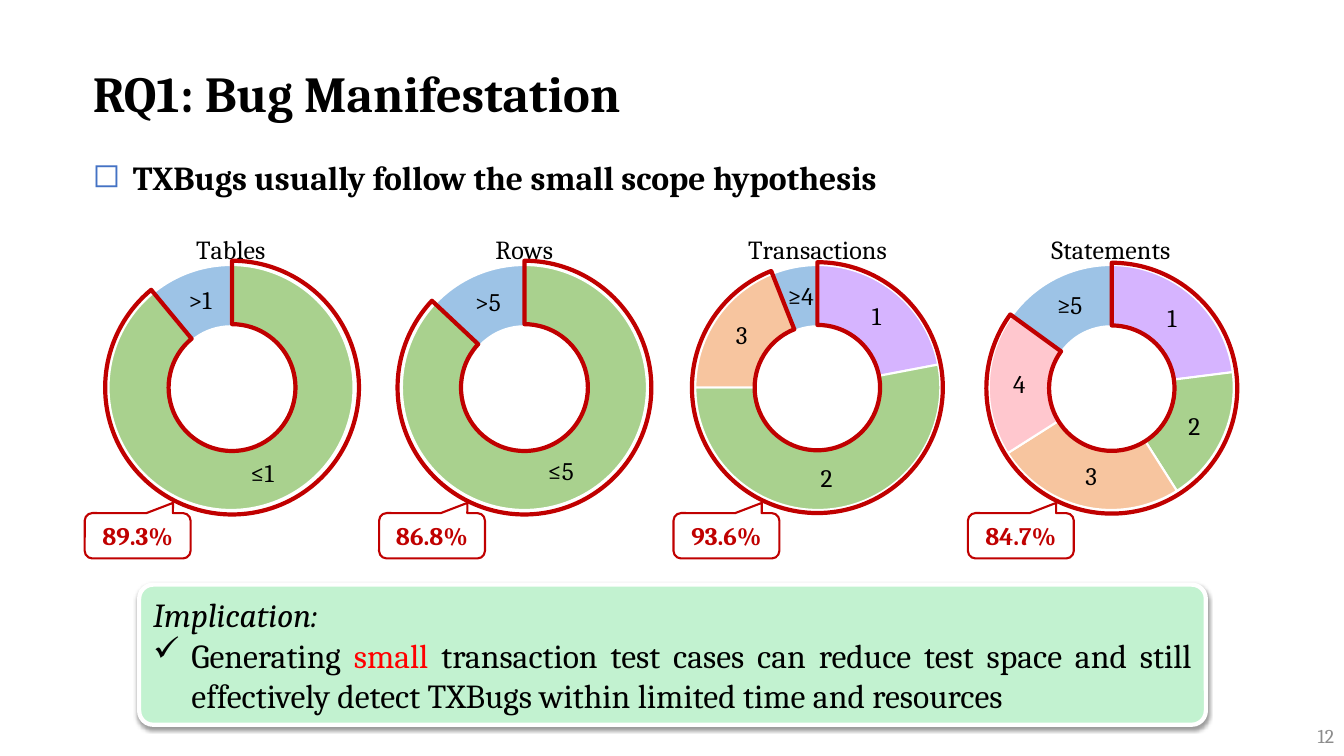
from lxml import etree
from pptx import Presentation
from pptx.chart.data import CategoryChartData
from pptx.dml.color import RGBColor
from pptx.enum.chart import XL_CHART_TYPE
from pptx.enum.shapes import MSO_SHAPE as SHAPE
from pptx.enum.text import MSO_ANCHOR as ANCHOR, MSO_AUTO_SIZE as AUTO, PP_ALIGN as ALIGN
from pptx.oxml import parse_xml
from pptx.oxml.ns import nsdecls, qn
from pptx.util import Inches, Pt

FONT = "Cambria"
BLACK = RGBColor(0x00, 0x00, 0x00)
WHITE = RGBColor(0xFF, 0xFF, 0xFF)
GREY = RGBColor(0x8C, 0x8C, 0x8C)
RED = RGBColor(0xFF, 0x00, 0x00)
DARK_RED = RGBColor(0xC0, 0x00, 0x00)
MINT = RGBColor(0xC2, 0xF2, 0xD0)
BULLET_BLUE = RGBColor(0x44, 0x72, 0xC4)
GREEN = RGBColor(0xA9, 0xD1, 0x8E)
BLUE = RGBColor(0x9D, 0xC3, 0xE6)
PURPLE = RGBColor(0xD6, 0xB4, 0xFF)
ORANGE = RGBColor(0xF7, 0xC5, 0x9F)
PINK = RGBColor(0xFF, 0xC7, 0xCE)


def style(font, size, color=BLACK, bold=False, italic=False):
    font.name, font.size, font.bold, font.italic = FONT, Pt(size), bold, italic
    font.color.rgb = color


def add_doughnut(box, name, cats, vals, hole):
    """Add a doughnut with a fixed plot area and return its chart."""
    data = CategoryChartData()
    data.categories = cats
    data.add_series(name, vals)
    chart = s.shapes.add_chart(XL_CHART_TYPE.DOUGHNUT, *map(Inches, box), data).chart
    chart.has_legend = chart.has_title = False
    style(chart.font, 10)
    chart.plots[0].vary_by_categories = True
    area = chart.plots[0]._element.getparent()
    for old in area.findall(qn("c:layout")):
        area.remove(old)
    area.insert(0, parse_xml(
        f'<c:layout {nsdecls("c")}><c:manualLayout><c:layoutTarget val="inner"/>'
        '<c:xMode val="edge"/><c:yMode val="edge"/><c:x val="0.187"/><c:y val="0.147"/>'
        '<c:w val="0.627"/><c:h val="0.73"/></c:manualLayout></c:layout>'))
    area.find(".//" + qn("c:holeSize")).set("val", str(hole))
    return chart


prs = Presentation()
prs.slide_width, prs.slide_height = Inches(13.33), Inches(7.5)
s = prs.slides.add_slide(prs.slide_layouts[5])

# Title
sp = s.shapes.title
sp.left, sp.top, sp.width, sp.height = map(Inches, (0.82, 0.34, 11.84, 0.93))
tf = sp.text_frame
tf.text = "RQ1: Bug Manifestation"
tf.auto_size, tf.vertical_anchor = AUTO.NONE, ANCHOR.BOTTOM
p = tf.paragraphs[0]
p.alignment, p.line_spacing = ALIGN.LEFT, Pt(46.7)
style(p.runs[0].font, 36, bold=True)

# Finding
tf = s.shapes.add_textbox(*map(Inches, (0.82, 1.51, 11.84, 0.5))).text_frame
tf.word_wrap = True
finding = tf.paragraphs[0]
finding.text = "TXBugs usually follow the small scope hypothesis"
style(finding.runs[0].font, 24, bold=True)

# Slide number
tf = s.shapes.add_textbox(*map(Inches, (10.33, 7.1, 3, 0.4))).text_frame
tf.word_wrap, tf.vertical_anchor = True, ANCHOR.MIDDLE
p = tf.paragraphs[0]
p.text, p.alignment = "12", ALIGN.RIGHT
style(p.runs[0].font, 14, GREY)

# Implication box
sp = s.shapes.add_shape(SHAPE.ROUNDED_RECTANGLE, *map(Inches, (1.38, 5.8, 10.58, 1.39)))
sp.adjustments[0] = 0.1
sp.fill.solid()
sp.fill.fore_color.rgb = MINT
sp.line.color.rgb, sp.line.width = WHITE, Pt(3)
sp._element.spPr.append(parse_xml(
    f'<a:effectLst {nsdecls("a")}><a:outerShdw blurRad="{Pt(3.1)}" dist="{Pt(1.6)}" '
    'dir="5400000" rotWithShape="0"><a:srgbClr val="000000"><a:alpha val="38000"/>'
    '</a:srgbClr></a:outerShdw></a:effectLst>'))
tf = sp.text_frame
tf.word_wrap, tf.vertical_anchor = True, ANCHOR.MIDDLE
p, advice = tf.paragraphs[0], tf.add_paragraph()
p.alignment = advice.alignment = ALIGN.JUSTIFY
p.text = "Implication:"
style(p.runs[0].font, 24, italic=True)
for text, color in (
        ("Generating ", BLACK), ("small", RED),
        (" transaction test cases can reduce test space and still effectively detect "
         "TXBugs within limited time and resources", BLACK)):
    r = advice.add_run()
    r.text = text
    style(r.font, 24, color)

# Bullets with hanging indents
for p, char, indent, color in ((finding, "◻", 0.4, BULLET_BLUE), (advice, "✓", 0.38, BLACK)):
    pPr = p._p.get_or_add_pPr()
    pPr.set("marL", str(Inches(indent)))
    pPr.set("indent", str(-Inches(indent)))
    clr = etree.SubElement(pPr, qn("a:buClr"))
    etree.SubElement(clr, qn("a:srgbClr"), val=str(color))
    etree.SubElement(pPr, qn("a:buChar"), char=char)

# Panels: name, categories, values, colours, outline box, outlined share, callout
panels = [
    ("Tables", ["≤1", ">1"], [89, 11], [GREEN, BLUE],
     (0.29, 2.08, 4.02, 3.45), 89, "89.3%"),
    ("Rows", ["≤5", ">5"], [87, 13], [GREEN, BLUE],
     (3.19, 2.08, 4.02, 3.45), 87, "86.8%"),
    ("Transactions", ["1", "2", "3", "≥4"], [22, 53, 19, 6], [PURPLE, GREEN, ORANGE, BLUE],
     (6.12, 2.08, 3.97, 3.45), 94, "93.6%"),
    ("Statements", ["1", "2", "3", "4", "≥5"], [23, 18, 25, 19, 15],
     [PURPLE, GREEN, ORANGE, PINK, BLUE],
     (9.04, 2.06, 3.97, 3.5), 85, "84.7%"),
]

# Coloured doughnuts
for i, (name, cats, vals, colors, *_) in enumerate(panels):
    chart = add_doughnut((0.35 + 2.91 * i, 2.14, 3.88, 3.33), name, cats, vals, 50)
    chart.has_title = True
    chart.chart_title.include_in_layout = False
    tf = chart.chart_title.text_frame
    tf.text = name
    style(tf.paragraphs[0].runs[0].font, 18.6)
    ser = chart.plots[0].series[0]
    for j, color in enumerate(colors):
        fmt = ser.points[j].format
        fmt.fill.solid()
        fmt.fill.fore_color.rgb = color
        fmt.line.color.rgb, fmt.line.width = WHITE, Pt(1.5)
    labels = ser.data_labels
    labels.show_category_name, labels.show_value = True, False
    style(labels.font, 18)

# Red outlines and their callouts
for i, (*_, box, share, percent) in enumerate(panels):
    chart = add_doughnut(box, "Series 1", ["1", "2"], [share, 100 - share], 45)
    outlined, rest = (chart.plots[0].series[0].points[j].format for j in range(2))
    outlined.fill.background()
    outlined.line.color.rgb, outlined.line.width = DARK_RED, Pt(3)
    rest.fill.background()
    rest.line.fill.background()

    sp = s.shapes.add_shape(SHAPE.ROUNDED_RECTANGULAR_CALLOUT,
                            *map(Inches, (0.84 + 2.92 * i, 5.09, 1.05, 0.45)))
    for j, value in enumerate((0.334, -0.725, 0.167)):
        sp.adjustments[j] = value
    sp.shadow.inherit = False
    sp.fill.background()
    sp.line.color.rgb, sp.line.width = DARK_RED, Pt(1.5)
    tf = sp.text_frame
    tf.word_wrap, tf.vertical_anchor = True, ANCHOR.MIDDLE
    p = tf.paragraphs[0]
    p.text, p.alignment = percent, ALIGN.CENTER
    style(p.runs[0].font, 18, DARK_RED, bold=True)

prs.save("out.pptx")
